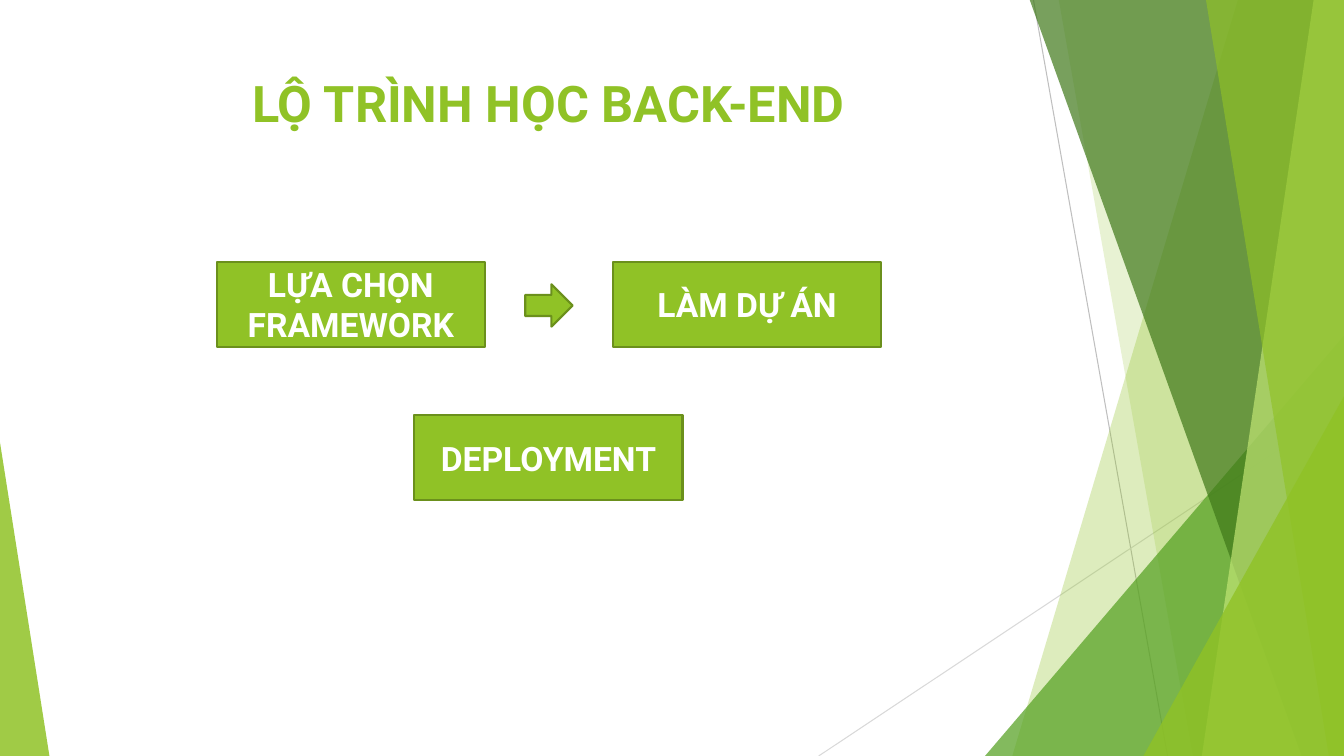
from dataclasses import dataclass

from lxml.etree import SubElement
from pptx import Presentation
from pptx.dml.color import RGBColor
from pptx.enum.shapes import MSO_CONNECTOR, MSO_SHAPE
from pptx.enum.text import MSO_ANCHOR, PP_ALIGN
from pptx.oxml.ns import qn
from pptx.shapes.autoshape import Shape
from pptx.shapes.shapetree import SlideShapes
from pptx.text.text import TextFrame
from pptx.util import Inches, Pt

WIDTH, HEIGHT = 13.33, 7.5
VEIL_TOP = -0.01
GREEN, DARK_GREEN, WHITE = "90C226", "6B901C", "FFFFFF"
STEP_WIDTH, STEP_HEIGHT = 2.66, 0.84


@dataclass
class Ray:
    start: tuple[float, float]
    end: tuple[float, float]
    color: str


@dataclass
class Veil:
    top_left: float
    bottom_left: float
    color: str
    opacity: int


@dataclass
class Wedge:
    left: float
    top: float
    width: float
    apex: float
    color: str
    opacity: int


@dataclass
class Step:
    left: float
    top: float
    label: str


RAYS = [
    Ray((10.25, 0), (11.58, HEIGHT), "BFBFBF"),
    Ray((WIDTH, 4.03), (8.12, HEIGHT), "D9D9D9"),
]
FACETS = [
    Veil(12.28, 10.04, GREEN, 30),
    Veil(10.5, 11.83, GREEN, 20),
    Wedge(9.77, 3.33, 3.56, 1, "54A021", 72),
    Veil(10.21, 12.91, "3F7819", 70),
    Veil(13.03, 11.92, "C0E474", 70),
    Veil(11.96, 13.18, GREEN, 65),
    Wedge(11.34, 3.93, 1.99, 1, GREEN, 80),
    Wedge(0, 4.39, 0.49, 0, GREEN, 85),
]
STEPS = [
    Step(2.15, 2.6, "LỰA CHỌN FRAMEWORK"),
    Step(6.08, 2.6, "LÀM DỰ ÁN"),
    Step(4.11, 4.12, "DEPLOYMENT"),
]


def rgb(color: str) -> RGBColor:
    return RGBColor.from_string(color)


def paint(shape: Shape, color: str, opacity: int = 100) -> None:
    shape.shadow.inherit = False
    shape.fill.solid()
    shape.fill.fore_color.rgb = rgb(color)
    if opacity < 100:
        for tint in shape.fill._xPr.iter(qn("a:srgbClr")):
            SubElement(tint, qn("a:alpha"), val=str(opacity * 1000))


def draw_ray(shapes: SlideShapes, ray: Ray) -> None:
    points = [Inches(value) for value in ray.start + ray.end]
    line = shapes.add_connector(MSO_CONNECTOR.STRAIGHT, *points)
    line.line.color.rgb = rgb(ray.color)
    line.line.width = Pt(0.75)
    SubElement(line._element.spPr, qn("a:effectLst"))


def draw_facet(shapes: SlideShapes, facet: Veil | Wedge) -> None:
    if isinstance(facet, Veil):
        corners = [(WIDTH, VEIL_TOP), (WIDTH, HEIGHT), (facet.bottom_left, HEIGHT)]
        builder = shapes.build_freeform(Inches(facet.top_left), Inches(VEIL_TOP))
        builder.add_line_segments([(Inches(x), Inches(y)) for x, y in corners])
        shape = builder.convert_to_shape()
    else:
        shape = shapes.add_shape(
            MSO_SHAPE.ISOSCELES_TRIANGLE, Inches(facet.left), Inches(facet.top),
            Inches(facet.width), Inches(HEIGHT - facet.top))
        shape.adjustments[0] = facet.apex
    paint(shape, facet.color, facet.opacity)
    shape.line.fill.background()


def write(frame: TextFrame, text: str, size: int, color: str, anchor: MSO_ANCHOR) -> None:
    frame.word_wrap = True
    frame.vertical_anchor = anchor
    para = frame.paragraphs[0]
    para.text = text
    para.alignment = PP_ALIGN.CENTER
    para.font.name = "Roboto"
    para.font.size = Pt(size)
    para.font.bold = True
    para.font.color.rgb = rgb(color)


def draw_block(shapes: SlideShapes, kind: MSO_SHAPE, left: float, top: float,
               width: float, height: float) -> Shape:
    block = shapes.add_shape(kind, Inches(left), Inches(top), Inches(width), Inches(height))
    paint(block, GREEN)
    block.line.color.rgb = rgb(DARK_GREEN)
    block.line.width = Pt(1.5)
    return block


def draw_step(shapes: SlideShapes, step: Step) -> None:
    box = draw_block(shapes, MSO_SHAPE.RECTANGLE, step.left, step.top, STEP_WIDTH, STEP_HEIGHT)
    write(box.text_frame, step.label, 24, WHITE, MSO_ANCHOR.MIDDLE)


def main() -> None:
    deck = Presentation()
    deck.slide_width, deck.slide_height = Inches(WIDTH), Inches(HEIGHT)
    page = deck.slides.add_slide(deck.slide_layouts[6])
    shapes = page.shapes
    for ray in RAYS:
        draw_ray(shapes, ray)
    for facet in FACETS:
        draw_facet(shapes, facet)
    title = shapes.add_textbox(Inches(0.74), Inches(0.67), Inches(9.4), Inches(1.44))
    write(title.text_frame, "LỘ TRÌNH HỌC BACK-END", 36, GREEN, MSO_ANCHOR.TOP)
    for step in STEPS:
        draw_step(shapes, step)
    draw_block(shapes, MSO_SHAPE.RIGHT_ARROW, 5.21, 2.82, 0.47, 0.42)
    deck.save("out.pptx")


if __name__ == "__main__":
    main()
